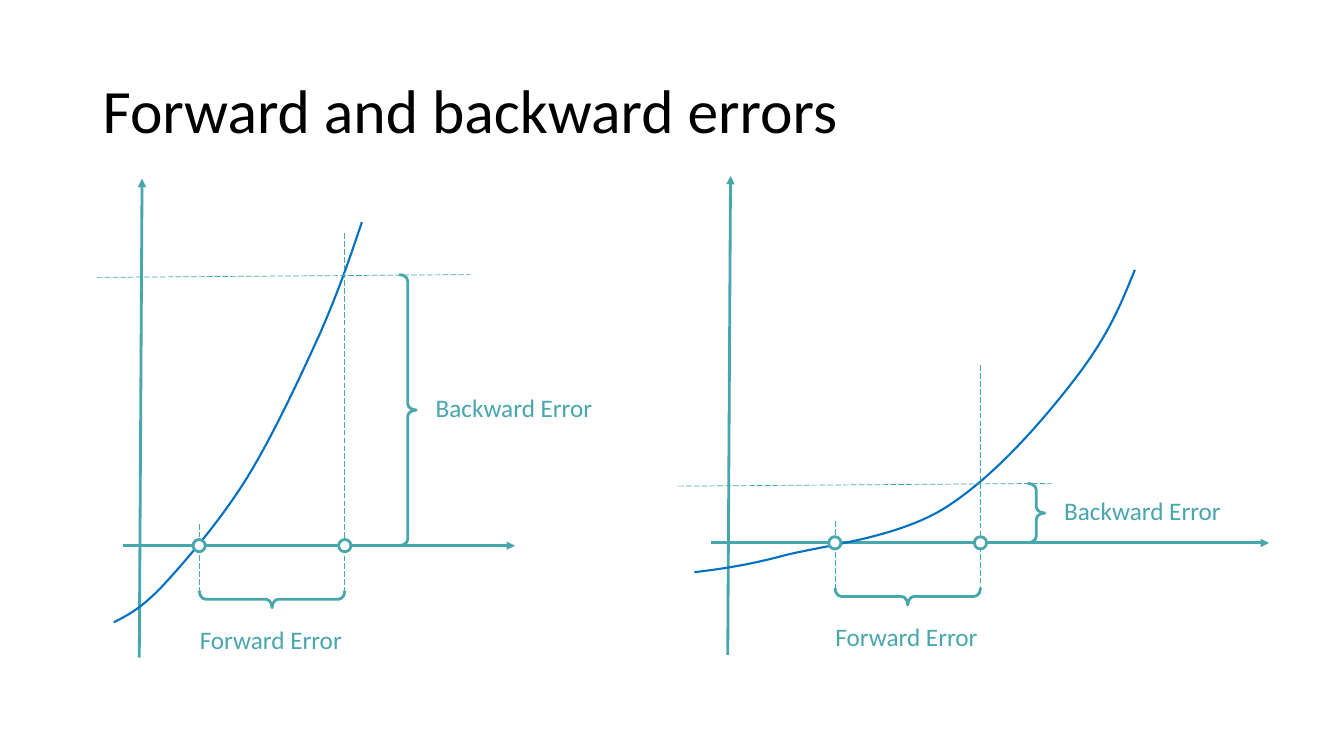
from dataclasses import dataclass

from lxml.etree import SubElement
from pptx import Presentation
from pptx.dml.color import RGBColor
from pptx.enum.dml import MSO_LINE
from pptx.enum.shapes import MSO_CONNECTOR, MSO_SHAPE
from pptx.enum.text import MSO_ANCHOR, MSO_AUTO_SIZE, PP_ALIGN
from pptx.oxml.ns import qn
from pptx.util import Cm, Pt

TEAL = RGBColor(0x48, 0xA6, 0xAD)
BLUE = RGBColor(0x00, 0x70, 0xC0)
BLACK = RGBColor(0, 0, 0)
WHITE = RGBColor(0xFF, 0xFF, 0xFF)
FONT = "Calibri"

ROOT_TO_GUESS = 3.67
AXIS_DEPTH = 9.25  # top of the panel down to the x axis
BRACE = 0.43
DOT = 0.31


@dataclass
class Plot:
    """Lengths in cm; x from the panel's left edge, y upwards from the x axis."""
    root: float
    level: float
    level_start: float
    guess_rise: float
    brace_gap: float
    curve: list


STEEP = Plot(
    root=1.92, level=6.83, level_start=-0.66, guess_rise=7.87, brace_gap=1.37,
    curve=[(-0.23, -1.93),
           (0.13, -1.75), (0.48, -1.57), (1.04, -0.97),
           (1.6, -0.36), (2.46, 0.64), (3.12, 1.7),
           (3.78, 2.77), (4.5, 4.32), (4.98, 5.38),
           (5.46, 6.48), (5.74, 7.32), (6.02, 8.15)])
FLAT = Plot(
    root=3.11, level=1.5, level_start=-0.84, guess_rise=4.47, brace_gap=1.19,
    curve=[(-0.43, -0.74),
           (0.2, -0.66), (0.86, -0.58), (1.9, -0.3),
           (2.95, -0.05), (4.62, 0.13), (5.82, 0.84),
           (7.01, 1.57), (8.18, 2.87), (9.09, 4.04),
           (9.98, 5.18), (10.29, 5.94), (10.67, 6.88)])


def style_run(p, size, color):
    for r in p.runs:
        r.font.name = FONT
        r.font.size = Pt(size)
        r.font.color.rgb = color


def add_title(slide, text):
    sp = slide.shapes.title
    sp.left, sp.top, sp.width, sp.height = Cm(2.33), Cm(1.02), Cm(29.21), Cm(3.68)
    tf = sp.text_frame
    tf.text = text
    tf.auto_size = MSO_AUTO_SIZE.NONE
    tf.vertical_anchor = MSO_ANCHOR.MIDDLE
    p = tf.paragraphs[0]
    p.alignment = PP_ALIGN.LEFT
    p.line_spacing = 0.9
    style_run(p, 44, BLACK)


def add_line(slide, x1, y1, x2, y2):
    line = slide.shapes.add_connector(
        MSO_CONNECTOR.STRAIGHT, Cm(x1), Cm(y1), Cm(x2), Cm(y2))
    line.line.color.rgb = TEAL
    SubElement(line._element.spPr, qn("a:effectLst"))
    return line


def add_axis(slide, *ends):
    axis = add_line(slide, *ends)
    axis.line.width = Pt(2)
    SubElement(axis.line._get_or_add_ln(), qn("a:tailEnd"), type="triangle")


def add_guide(slide, *ends):
    guide = add_line(slide, *ends)
    guide.line.width = Pt(0.5)
    guide.line.dash_style = MSO_LINE.LONG_DASH


def add_curve(slide, points):
    """Draw a Bezier path: a start point, then three points per segment."""
    start, *rest = [(Cm(x), Cm(y)) for x, y in points]
    builder = slide.shapes.build_freeform(*start)
    builder.add_line_segments(rest, close=False)
    sp = builder.convert_to_shape()
    sp.shadow.inherit = False
    sp.fill.background()
    sp.line.color.rgb = BLUE
    sp.line.width = Pt(1.5)
    lines = list(sp._element.iter(qn("a:lnTo")))
    for i in range(0, len(lines), 3):
        bezier = SubElement(lines[i].getparent(), qn("a:cubicBezTo"))
        for line in lines[i:i + 3]:
            bezier.append(line[0])
            line.getparent().remove(line)


def add_outline(slide, kind, cx, cy, width, height):
    """Add a teal outlined shape centred on (cx, cy)."""
    sp = slide.shapes.add_shape(
        kind, Cm(cx - width / 2), Cm(cy - height / 2), Cm(width), Cm(height))
    sp.shadow.inherit = False
    sp.fill.background()
    sp.line.color.rgb = TEAL
    sp.line.width = Pt(2)
    return sp


def add_brace(slide, cx, cy, span, rotation=0):
    sp = add_outline(slide, MSO_SHAPE.RIGHT_BRACE, cx, cy, BRACE, span)
    sp.adjustments[0] = 0.368
    sp.rotation = rotation


def add_dot(slide, cx, cy):
    sp = add_outline(slide, MSO_SHAPE.OVAL, cx, cy, DOT, DOT)
    sp.fill.solid()
    sp.fill.fore_color.rgb = WHITE


def add_label(slide, text, x, y, width):
    tf = slide.shapes.add_textbox(Cm(x), Cm(y), Cm(width), Cm(1.03)).text_frame
    tf.text = text
    tf.word_wrap = False
    tf.auto_size = MSO_AUTO_SIZE.SHAPE_TO_FIT_TEXT
    style_run(tf.paragraphs[0], 18, TEAL)


def add_error_panel(slide, plot, left, top, width, height):
    axis_y = top + AXIS_DEPTH
    root = left + plot.root
    guess = root + ROOT_TO_GUESS
    middle = (root + guess) / 2
    level_y = axis_y - plot.level
    level_x = left + plot.level_start
    brace_x = guess + plot.brace_gap
    brace_y = (axis_y + level_y) / 2
    foot = axis_y + 1.28

    add_axis(slide, left, axis_y, left + width, axis_y)
    add_axis(slide, left + 0.41, top + height, left + 0.48, top)
    add_curve(slide, [(left + x, axis_y - y) for x, y in plot.curve])

    add_guide(slide, guess, axis_y - plot.guess_rise, guess, foot)
    add_guide(slide, level_x, level_y + 0.07, level_x + 9.42, level_y)
    add_guide(slide, root, axis_y - 0.55, root, foot)

    add_brace(slide, brace_x + BRACE / 2, brace_y, plot.level)
    add_label(slide, "Backward Error", brace_x + 0.67, brace_y - 0.57, 4.5)
    add_brace(slide, middle, axis_y + 1.35, ROOT_TO_GUESS, rotation=90)
    add_label(slide, "Forward Error", middle - 2.07, axis_y + 1.86, 4.14)

    for x in (root, guess):
        add_dot(slide, x, axis_y)


def main():
    prs = Presentation()
    prs.slide_width, prs.slide_height = Cm(33.87), Cm(19.05)
    slide = prs.slides.add_slide(prs.slide_layouts[5])
    add_title(slide, "Forward and backward errors")
    add_error_panel(slide, STEEP, 3.1, 4.5, 9.88, 12.07)
    add_error_panel(slide, FLAT, 17.93, 4.43, 14.05, 12.07)
    prs.save("out.pptx")


if __name__ == "__main__":
    main()
